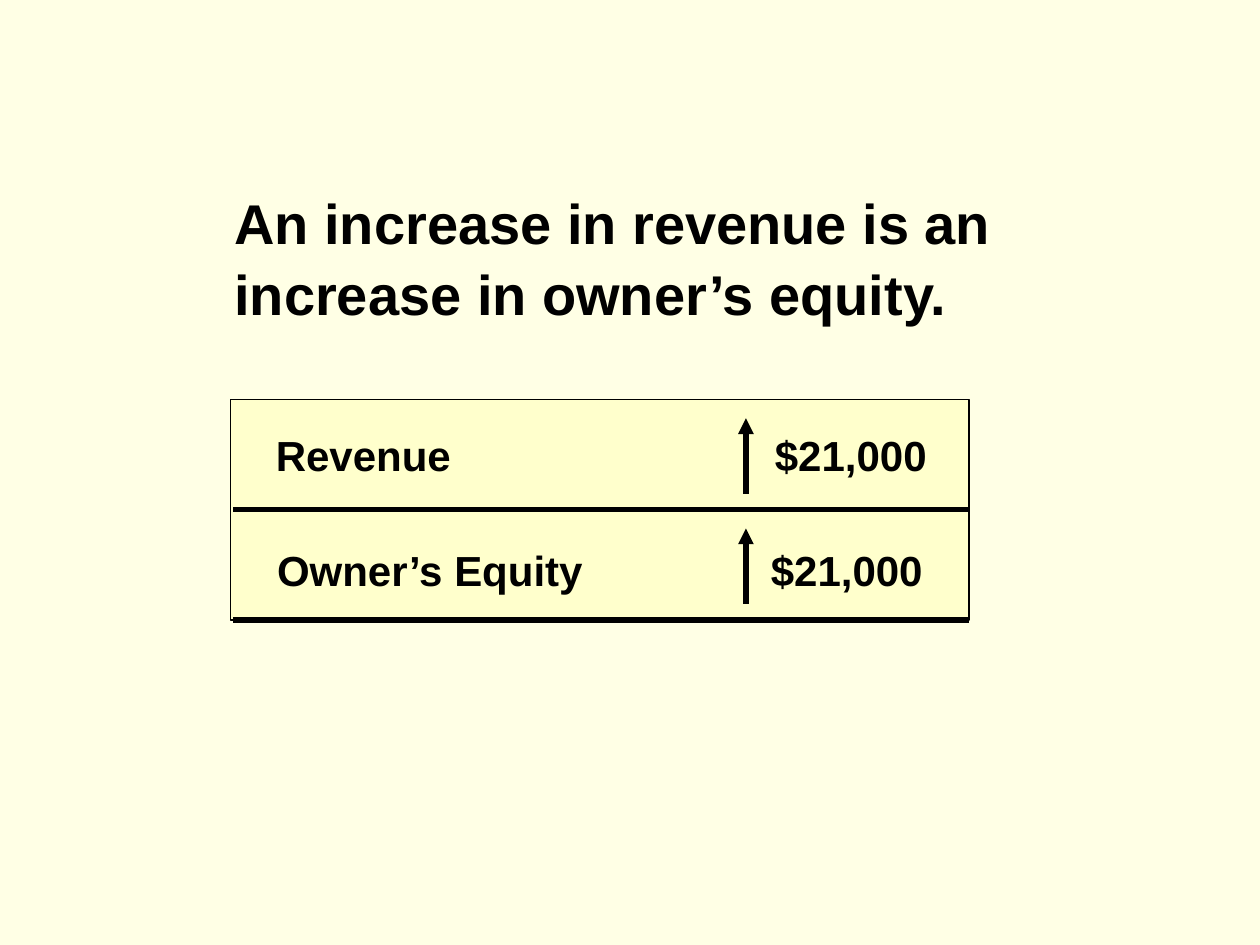
"""Build a slide showing that revenue raises owner's equity."""
from dataclasses import dataclass

from lxml.etree import SubElement
from pptx import Presentation
from pptx.dml.color import RGBColor
from pptx.enum.shapes import MSO_CONNECTOR, MSO_SHAPE
from pptx.enum.text import MSO_ANCHOR, PP_ALIGN
from pptx.oxml.ns import qn
from pptx.slide import Slide
from pptx.text.text import TextFrame
from pptx.util import Pt

BLACK = "000000"
PANEL_LEFT, PANEL_TOP, PANEL_WIDTH = 131.75, 228.25, 422
ROW_HEIGHT = 63
RULE_LEFT = 133.2
ARROW_X, ARROW_INSET, ARROW_LENGTH = 426.25, 10.75, 43.2


@dataclass
class Row:
    label: str
    amount: str
    left: float
    top: float
    amount_indent: float


ROWS = [
    Row("Revenue", "$21,000", 150.5, 240.5, 285.2),
    Row("Owner’s Equity", "$21,000", 151.2, 306, 282.2),
]


def color(value: str) -> RGBColor:
    """Turn a hex string into a colour."""
    return RGBColor.from_string(value)


def write_text(frame: TextFrame, text: str, size: float, tab: float = 0) -> None:
    """Write one bold paragraph, with an optional tab stop."""
    frame.word_wrap = True
    frame.vertical_anchor = MSO_ANCHOR.TOP
    frame.margin_left = frame.margin_right = Pt(7.2)
    frame.margin_top = frame.margin_bottom = Pt(3.6)
    para = frame.paragraphs[0]
    para.text = text
    para.alignment = PP_ALIGN.LEFT
    if tab:
        stops = SubElement(para._p.get_or_add_pPr(), qn("a:tabLst"))
        SubElement(stops, qn("a:tab"), pos=str(Pt(tab)), algn="l")
    para.space_before = Pt(0)
    para.line_spacing = 1.05
    para.font.name = "Arial"
    para.font.size = Pt(size)
    para.font.bold = True
    para.font.color.rgb = color(BLACK)


def add_line(slide: Slide, start: tuple[float, float], end: tuple[float, float],
             arrow: bool = False) -> None:
    """Draw a thick line, with an optional arrowhead at its start."""
    line = slide.shapes.add_connector(
        MSO_CONNECTOR.STRAIGHT, *map(Pt, start), *map(Pt, end))
    line.line.color.rgb = color(BLACK)
    line.line.width = Pt(3)
    if arrow:
        SubElement(line.line._get_or_add_ln(), qn("a:headEnd"), type="triangle")
    SubElement(line._element.spPr, qn("a:effectLst"))


def add_title(slide: Slide, text: str) -> None:
    """Place and fill the title."""
    title = slide.shapes.title
    title.left, title.top = Pt(126.7), Pt(102.25)
    title.width, title.height = Pt(461.5), Pt(84.25)
    write_text(title.text_frame, text, 32)


def add_panel(slide: Slide) -> None:
    """Draw the panel behind the rows."""
    panel = slide.shapes.add_shape(
        MSO_SHAPE.RECTANGLE, Pt(PANEL_LEFT), Pt(PANEL_TOP),
        Pt(PANEL_WIDTH), Pt(ROW_HEIGHT * len(ROWS)))
    panel.shadow.inherit = False
    panel.fill.solid()
    panel.fill.fore_color.rgb = color("FFFFCC")
    panel.line.color.rgb = color(BLACK)
    panel.line.width = Pt(0.75)


def add_row(slide: Slide, index: int, row: Row) -> None:
    """Draw a label, an amount, a rising arrow and the rule below."""
    top = PANEL_TOP + index * ROW_HEIGHT
    box = slide.shapes.add_textbox(Pt(row.left), Pt(row.top), Pt(403), Pt(36))
    write_text(box.text_frame, f"{row.label}\t{row.amount}", 24, row.amount_indent)
    arrow_top = top + ARROW_INSET
    add_line(slide, (ARROW_X, arrow_top), (ARROW_X, arrow_top + ARROW_LENGTH), True)
    bottom = top + ROW_HEIGHT
    add_line(slide, (RULE_LEFT, bottom), (PANEL_LEFT + PANEL_WIDTH, bottom))


def main() -> None:
    """Build and save the deck."""
    deck = Presentation()
    deck.slide_width, deck.slide_height = Pt(720), Pt(540)
    slide = deck.slides.add_slide(deck.slide_layouts[5])
    slide.background.fill.solid()
    slide.background.fill.fore_color.rgb = color("FFFFE5")
    add_title(slide, "An increase in revenue is an increase in owner’s equity.")
    add_panel(slide)
    for index, row in enumerate(ROWS):
        add_row(slide, index, row)
    deck.save("out.pptx")


if __name__ == "__main__":
    main()
